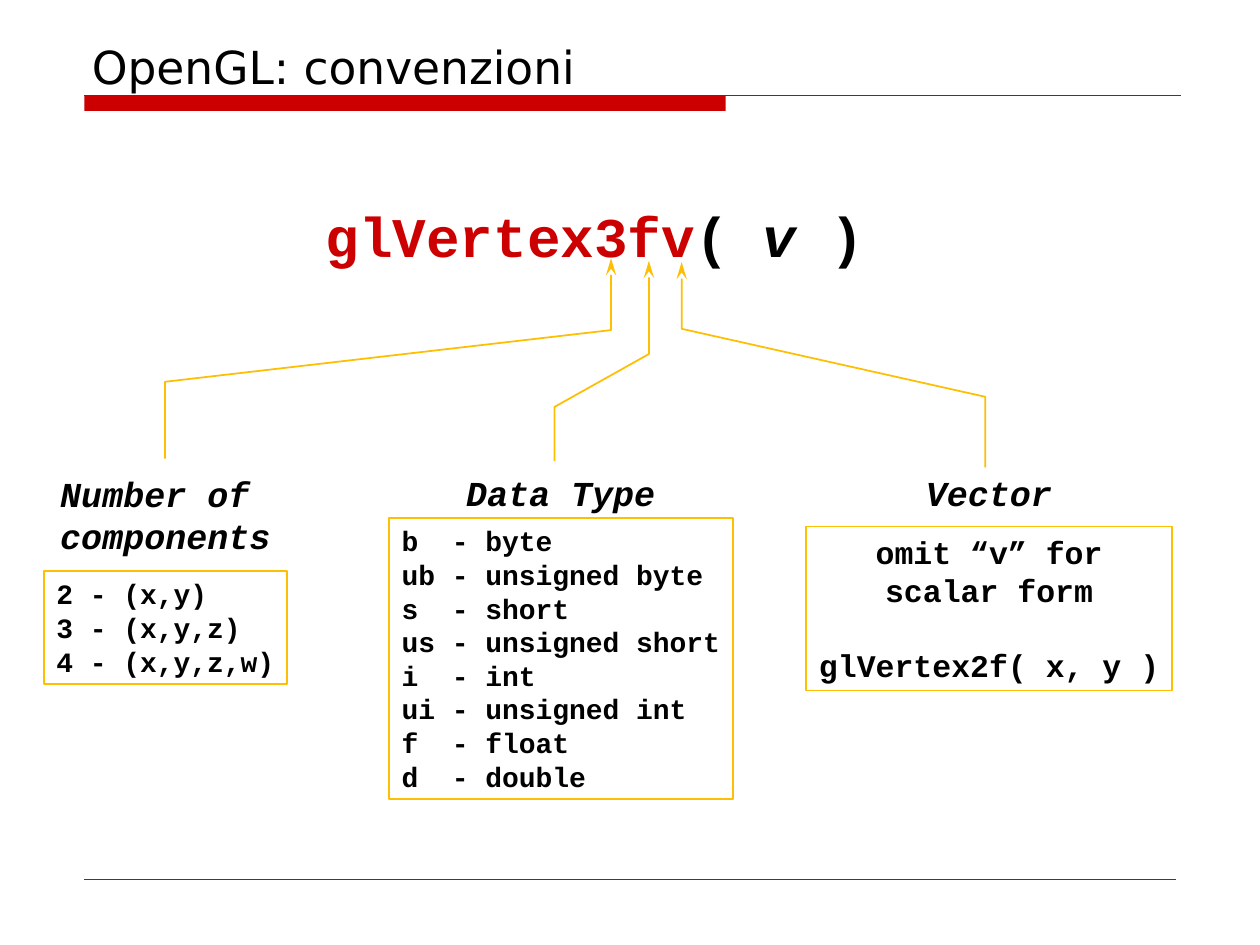
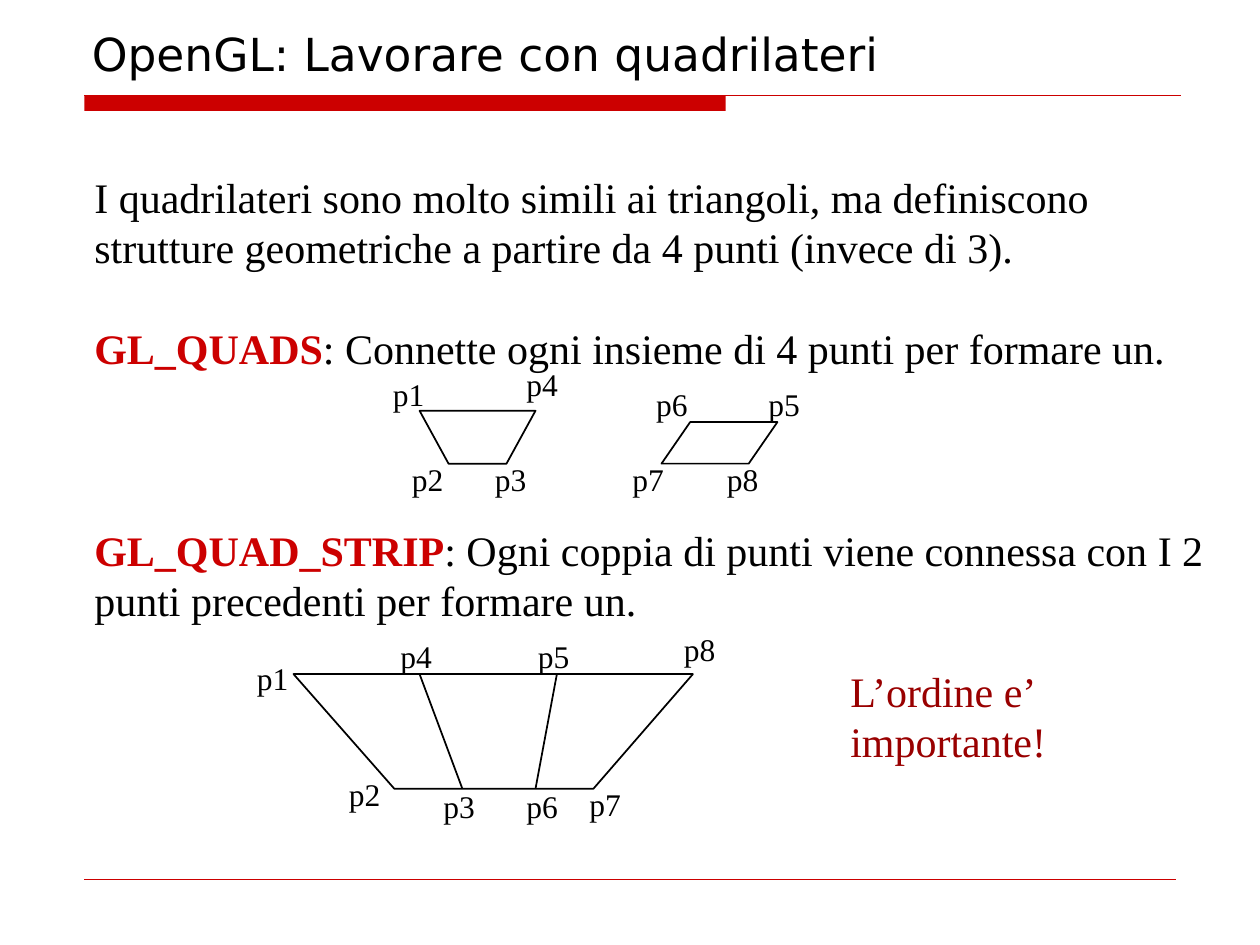
import pptx
import pptx.dml.color
import pptx.enum.shapes
import pptx.enum.text
import pptx.oxml
import pptx.util

Inches = pptx.util.Inches
Pt = pptx.util.Pt
RGBColor = pptx.dml.color.RGBColor
SHAPES = pptx.enum.shapes.MSO_SHAPE
ANCHOR = pptx.enum.text.MSO_ANCHOR
ALIGN = pptx.enum.text.PP_ALIGN

RED = RGBColor(0xCC, 0x00, 0x00)
DARK_RED = RGBColor(0x99, 0x00, 0x00)
AMBER = RGBColor(0xFE, 0xBF, 0x02)
BLACK = RGBColor(0x00, 0x00, 0x00)

SANS = "DejaVu Sans"
MONO = "Courier New"
SERIF = "Times New Roman"
LINE_RATIO = 1.2
DRAWING_NS = 'xmlns:a="http://schemas.openxmlformats.org/drawingml/2006/main"'


def write(frame, paragraphs, font, size, color=BLACK, bold=False, italic=False,
          align=ALIGN.LEFT, blank_lines=None, wrap=False, anchor=ANCHOR.TOP):
    frame.word_wrap = wrap
    frame.vertical_anchor = anchor
    for index, content in enumerate(paragraphs):
        paragraph = frame.paragraphs[0] if index == 0 else frame.add_paragraph()
        paragraph.alignment = align
        paragraph.font.name = font
        paragraph.font.size = Pt(size)
        paragraph.font.bold = bold
        paragraph.font.italic = italic
        paragraph.font.color.rgb = color
        gap = (blank_lines or {}).get(index, 0)
        if gap:
            paragraph.space_before = Pt(round(gap * size * LINE_RATIO, 1))
        pieces = [(content, {})] if isinstance(content, str) else content
        for words, emphasis in pieces:
            run = paragraph.add_run()
            run.text = words
            if "color" in emphasis:
                run.font.color.rgb = emphasis["color"]
            if "bold" in emphasis:
                run.font.bold = emphasis["bold"]
            if "italic" in emphasis:
                run.font.italic = emphasis["italic"]


def add_text(slide, bounds, paragraphs, font, size, **style):
    box = slide.shapes.add_textbox(*map(Inches, bounds))
    write(box.text_frame, paragraphs, font, size, **style)


def outline(shape, color):
    shape.shadow.inherit = False
    shape.fill.background()
    shape.line.color.rgb = color
    shape.line.width = Pt(1)


def add_framed_list(slide, bounds, paragraphs, size, **style):
    frame = slide.shapes.add_shape(SHAPES.RECTANGLE, *map(Inches, bounds))
    outline(frame, AMBER)
    write(frame.text_frame, paragraphs, MONO, size, bold=True, **style)


def add_line(slide, start, end, color, width=1):
    line = slide.shapes.add_connector(
        pptx.enum.shapes.MSO_CONNECTOR.STRAIGHT, *map(Inches, (*start, *end)))
    line.line.color.rgb = color
    line.line.width = Pt(width)
    line._element.spPr.append(pptx.oxml.parse_xml(f"<a:effectLst {DRAWING_NS}/>"))


def add_outline(slide, points, color, close):
    corners = [(Inches(x), Inches(y)) for x, y in points]
    builder = slide.shapes.build_freeform(*corners[0])
    builder.add_line_segments(corners[1:], close=close)
    drawn = builder.convert_to_shape()
    outline(drawn, color)
    return drawn


def add_pointer(slide, points):
    pointer = add_outline(slide, points, AMBER, close=False)
    pointer._element.spPr.ln.append(pptx.oxml.parse_xml(
        f'<a:headEnd {DRAWING_NS} type="stealth" w="med" len="lg"/>'))


def add_point_labels(slide, corners):
    for number, (left, top) in enumerate(corners, 1):
        add_text(slide, (left, top, 0.73, 0.4), [f"p{number}"], SERIF, 18, wrap=True)


def add_base_slide(deck, title, title_bounds):
    slide = deck.slides.add_slide(deck.slide_layouts[6])
    band = slide.shapes.add_shape(
        SHAPES.RECTANGLE, *map(Inches, (0.67, 0.76, 5.09, 0.12)))
    band.shadow.inherit = False
    band.fill.solid()
    band.fill.fore_color.rgb = RED
    band.line.fill.background()
    add_line(slide, (0.67, 0.76), (9.37, 0.76), RED, 0.75)
    add_line(slide, (0.67, 6.98), (9.33, 6.98), RED, 0.25)
    add_text(slide, title_bounds, [title], SANS, 26, wrap=True, anchor=ANCHOR.BOTTOM)
    return slide


def build_conventions(deck):
    slide = add_base_slide(deck, "OpenGL: convenzioni", (0.63, 0.05, 8.75, 0.74))
    call = [("glVertex3fv", {"color": RED}), ("( ", {}), ("v", {"italic": True}), (" )", {})]
    add_text(slide, (2.48, 1.55, 4.48, 0.63), [call], MONO, 32, bold=True,
             align=ALIGN.CENTER)

    headings = [
        ((0.38, 3.7, 1.87, 0.77), ["Number of", "components"]),
        ((3.6, 3.69, 1.71, 0.43), ["Data Type"]),
        ((7.25, 3.69, 1.2, 0.43), ["Vector"]),
    ]
    for bounds, heading in headings:
        add_text(slide, bounds, heading, MONO, 20, bold=True, italic=True)

    add_framed_list(slide, (0.35, 4.53, 1.93, 0.9),
                    ["2 - (x,y)", "3 - (x,y,z)", "4 - (x,y,z,w)"], 16)
    data_types = {
        "b": "byte", "ub": "unsigned byte", "s": "short", "us": "unsigned short",
        "i": "int", "ui": "unsigned int", "f": "float", "d": "double",
    }
    add_framed_list(slide, (3.09, 4.11, 2.73, 2.23),
                    [f"{suffix:<2} - {kind}" for suffix, kind in data_types.items()], 16)
    add_framed_list(slide, (6.4, 4.18, 2.9, 1.3),
                    ["omit “v” for", "scalar form", "glVertex2f( x, y )"], 18,
                    align=ALIGN.CENTER, blank_lines={2: 1})

    add_pointer(slide, [(4.85, 2.05), (4.85, 2.62), (1.31, 3.03), (1.31, 3.64)])
    add_pointer(slide, [(5.15, 2.07), (5.15, 2.81), (4.4, 3.23), (4.4, 3.66)])
    add_pointer(slide, [(5.41, 2.08), (5.41, 2.61), (7.82, 3.15), (7.82, 3.71)])


def build_quads(deck):
    slide = add_base_slide(deck, "OpenGL: Lavorare con quadrilateri",
                           (0.63, 0.2, 8.58, 0.49))
    keyword = {"color": RED, "bold": True}
    explanation = [
        "I quadrilateri sono molto simili ai triangoli, ma definiscono "
        "strutture geometriche a partire da 4 punti (invece di 3).",
        [("GL_QUADS", keyword),
         (": Connette ogni insieme di 4 punti per formare un.", {})],
        [("GL_QUAD_STRIP", keyword),
         (": Ogni coppia di punti viene connessa con I 2 punti precedenti "
          "per formare un.", {})],
    ]
    add_text(slide, (0.65, 1.31, 9.02, 3.7), explanation, SERIF, 24,
             wrap=True, blank_lines={1: 1, 2: 3})

    add_outline(slide, [(3.33, 3.26), (4.25, 3.26), (4.02, 3.68), (3.56, 3.68)],
                BLACK, close=True)
    slanted_quad = slide.shapes.add_shape(
        SHAPES.PARALLELOGRAM, *map(Inches, (5.25, 3.35, 0.92, 0.33)))
    slanted_quad.adjustments[0] = 0.69
    outline(slanted_quad, BLACK)
    add_point_labels(slide, [(3.02, 2.93), (3.17, 3.6), (3.83, 3.6), (4.08, 2.85),
                             (6, 3.01), (5.11, 3.01), (4.92, 3.6), (5.67, 3.6)])

    top, bottom = 5.35, 6.26
    add_outline(slide, [(2.33, top), (5.5, top), (4.71, bottom), (3.13, bottom)],
                BLACK, close=True)
    for upper, lower in [(3.33, 3.67), (4.42, 4.25)]:
        add_line(slide, (upper, top), (lower, bottom), BLACK)
    add_point_labels(slide, [(1.94, 5.18), (2.67, 6.1), (3.42, 6.2), (3.08, 5.01),
                             (4.17, 5.01), (4.08, 6.2), (4.58, 6.18), (5.33, 4.95)])

    add_text(slide, (6.65, 5.23, 2.43, 0.9), ["L’ordine e’ importante!"], SERIF, 24,
             color=DARK_RED, wrap=True)


def main():
    deck = pptx.Presentation()
    deck.slide_width = Inches(10)
    deck.slide_height = Inches(7.5)
    build_conventions(deck)
    build_quads(deck)
    deck.save("out.pptx")


if __name__ == "__main__":
    main()
